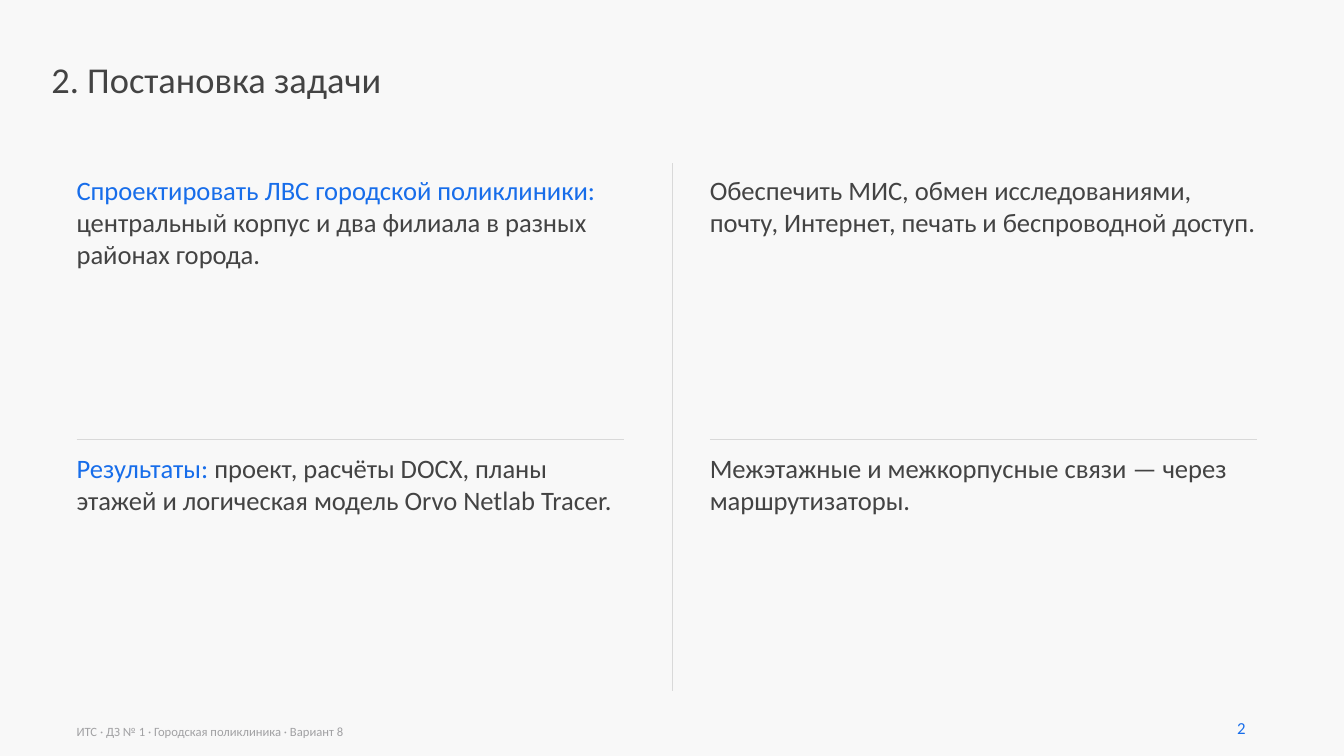
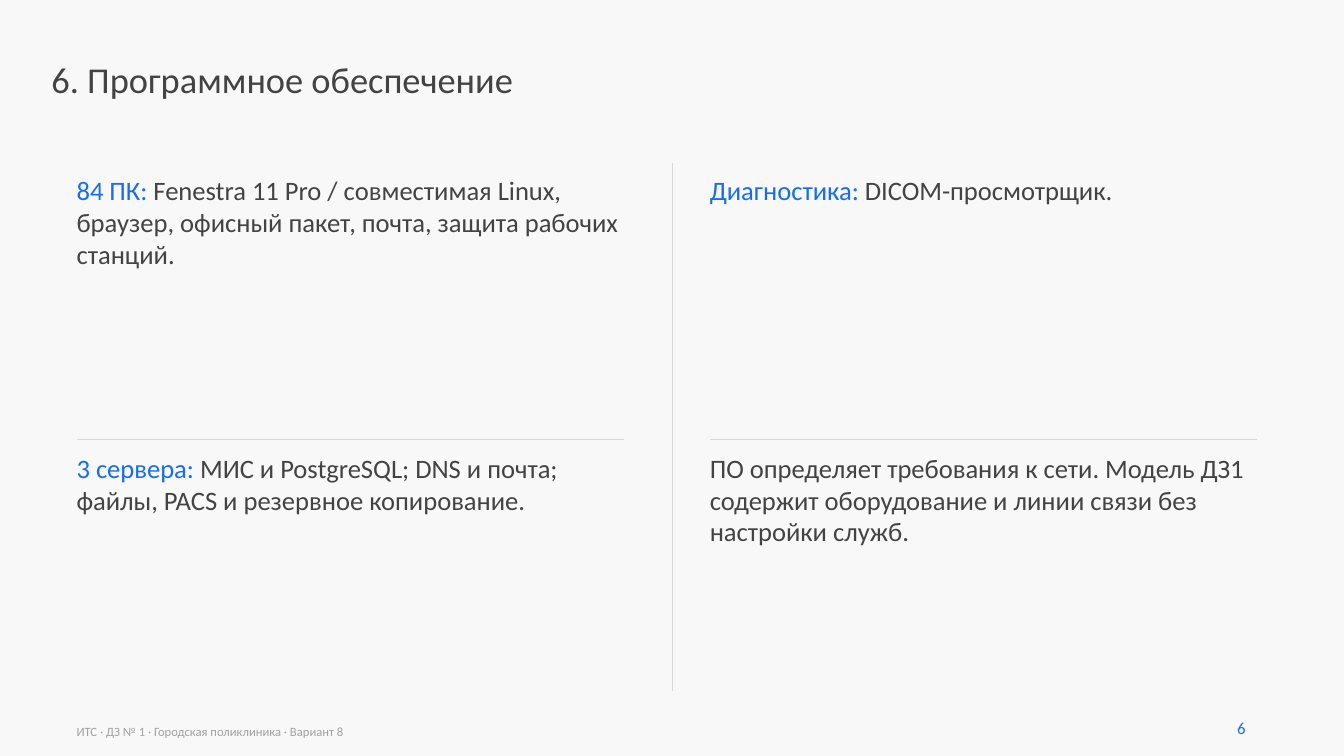
from dataclasses import dataclass

from lxml import etree
from pptx import Presentation
from pptx import util as u
from pptx.dml.color import RGBColor
from pptx.enum import shapes
from pptx.oxml import ns


@dataclass(frozen=True)
class Theme:
    font: str = "Calibri"
    background: str = "F8F8F8"
    ink: str = "434343"
    accent: str = "176DEA"
    muted: str = "A1A1A3"
    rule: str = "D9D9D9"
    title_size: int = 26
    body_size: int = 19
    number_size: int = 12
    footer_size: int = 9
    rule_width: float = 0.75


theme = Theme()

FOOTER = "ИТС · ДЗ № 1 · Городская поликлиника · Вариант 8"
COLUMNS = (0.76, 7.04)
ROWS = (1.73, 4.48)
CELL_WIDTH, CELL_HEIGHT = 5.43, 2.47
DIVIDER_X, DIVIDER_TOP, DIVIDER_BOTTOM = 6.67, 1.62, 6.86
ROW_RULE_Y = 4.36

# Each cell is (highlighted lead, remaining text), read row by row.
PAGES = [
    (2, "Постановка задачи", [
        ("Спроектировать ЛВС городской поликлиники:",
         " центральный корпус и два филиала в разных районах города."),
        ("", "Обеспечить МИС, обмен исследованиями, почту, Интернет, "
             "печать и беспроводной доступ."),
        ("Результаты:",
         " проект, расчёты DOCX, планы этажей и логическая модель Orvo Netlab Tracer."),
        ("", "Межэтажные и межкорпусные связи — через маршрутизаторы."),
    ]),
    (6, "Программное обеспечение", [
        ("84 ПК:",
         " Fenestra 11 Pro / совместимая Linux, браузер, офисный пакет, почта, "
         "защита рабочих станций."),
        ("Диагностика:", " DICOM-просмотрщик."),
        ("3 сервера:",
         " МИС и PostgreSQL; DNS и почта; файлы, PACS и резервное копирование."),
        ("", "ПО определяет требования к сети. Модель ДЗ1 содержит оборудование "
             "и линии связи без настройки служб."),
    ]),
]


def add_text(page, text, *, left, top, width, height, size, color=theme.ink, lead=""):
    """Place a text box; lead is set in the accent colour before text."""
    box = page.shapes.add_textbox(*map(u.Inches, (left, top, width, height)))
    frame = box.text_frame
    frame.word_wrap = True
    frame.margin_left = frame.margin_right = frame.margin_top = frame.margin_bottom = 0
    for words, tint in ((lead, theme.accent), (text, color)):
        if words:
            span = frame.paragraphs[0].add_run()
            span.text = words
            span.font.name = theme.font
            span.font.size = u.Pt(size)
            span.font.color.rgb = RGBColor.from_string(tint)


def add_rule(page, *ends):
    line = page.shapes.add_connector(
        shapes.MSO_CONNECTOR.STRAIGHT, *map(u.Inches, ends))
    line.line.color.rgb = RGBColor.from_string(theme.rule)
    line.line.width = u.Pt(theme.rule_width)
    etree.SubElement(line._element.spPr, ns.qn("a:effectLst"))


deck = Presentation()
deck.slide_width, deck.slide_height = u.Inches(13.33), u.Inches(7.5)

master_fill = deck.slide_master.background.fill
master_fill.solid()
master_fill.fore_color.rgb = RGBColor.from_string(theme.background)

for number, title, cells in PAGES:
    page = deck.slides.add_slide(deck.slide_layouts[6])
    add_text(page, f"{number}. {title}", left=0.51, top=0.57, width=12.26, height=0.95,
             size=theme.title_size)

    add_rule(page, DIVIDER_X, DIVIDER_TOP, DIVIDER_X, DIVIDER_BOTTOM)
    for left in COLUMNS:
        add_rule(page, left, ROW_RULE_Y, left + CELL_WIDTH, ROW_RULE_Y)

    places = [(left, top) for top in ROWS for left in COLUMNS]
    for (left, top), (lead, text) in zip(places, cells):
        add_text(page, text, lead=lead, left=left, top=top, width=CELL_WIDTH,
                 height=CELL_HEIGHT, size=theme.body_size)

    add_text(page, FOOTER, left=COLUMNS[0], top=7.18, width=10, height=0.18,
             size=theme.footer_size, color=theme.muted)
    add_text(page, str(number), left=12.27, top=7.12, width=0.45, height=0.27,
             size=theme.number_size, color=theme.accent)

deck.save("out.pptx")
